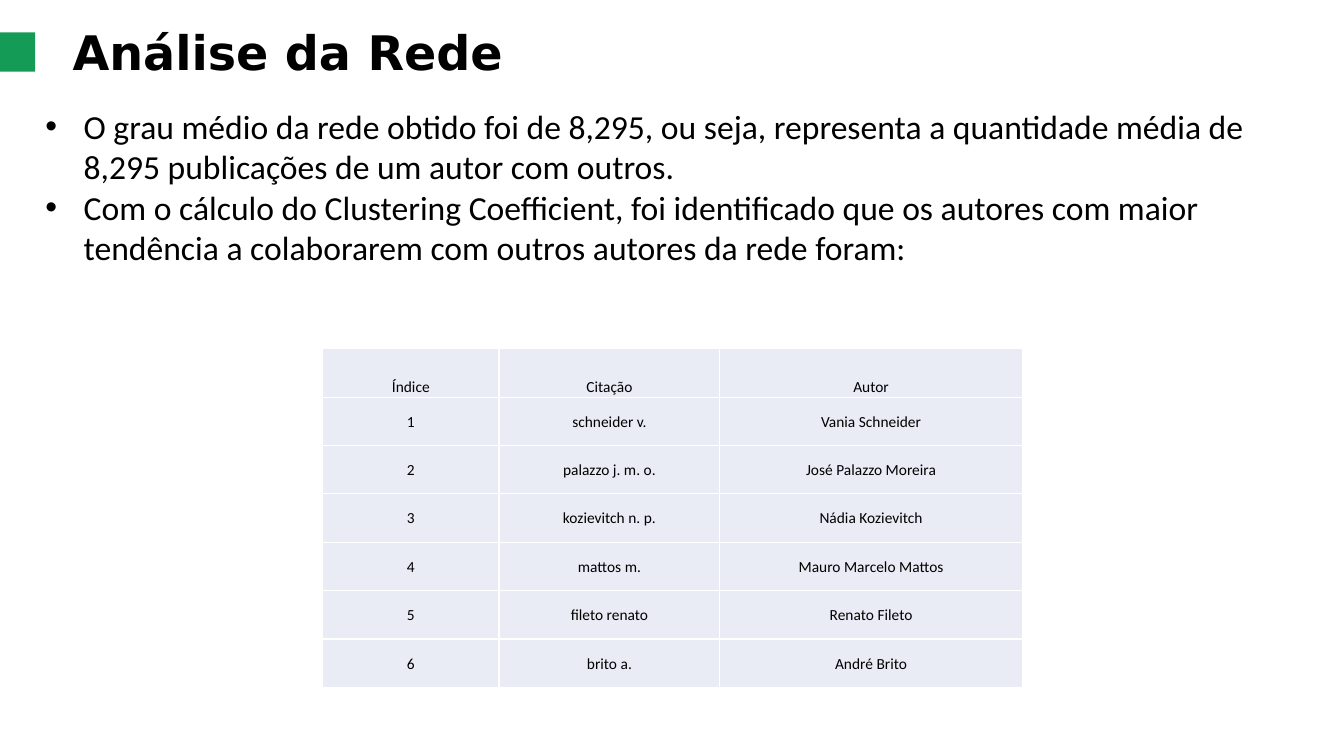
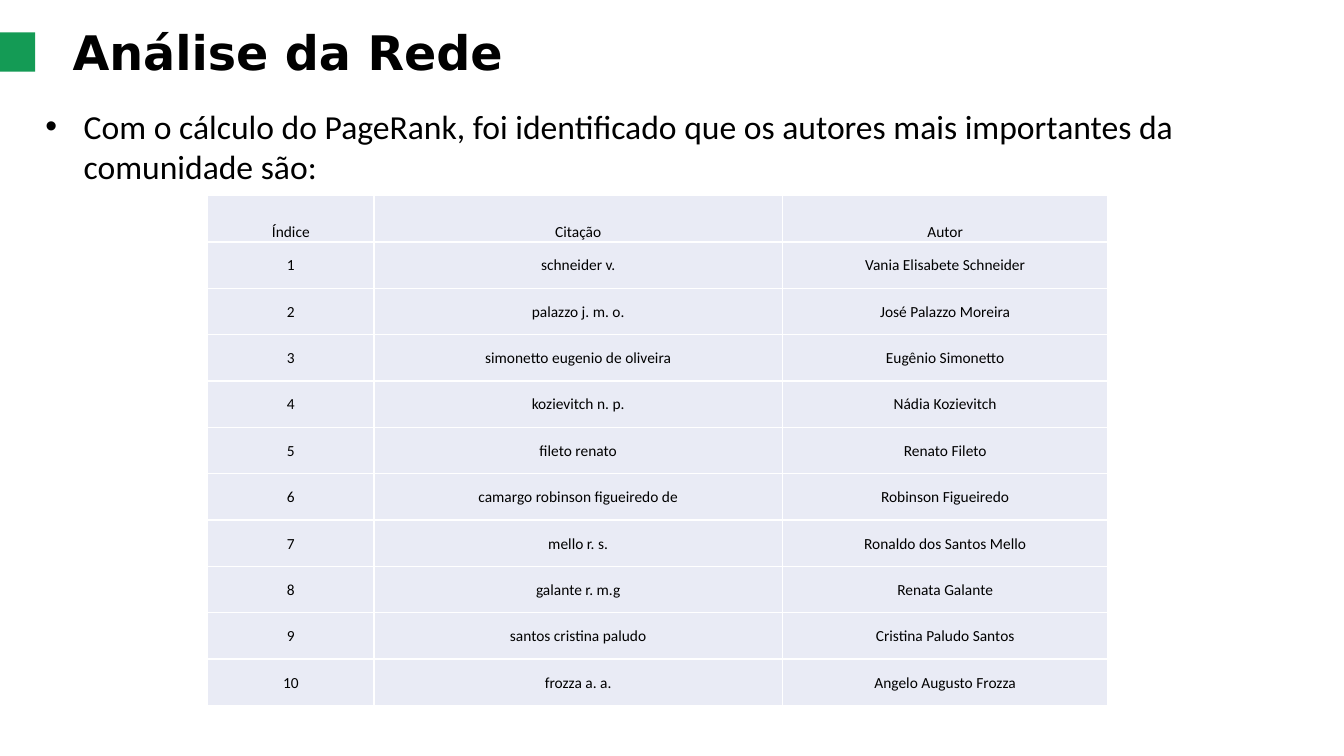
from dataclasses import dataclass

from lxml.etree import SubElement
from pptx import Presentation
from pptx.dml.color import RGBColor
from pptx.enum.shapes import MSO_SHAPE as Shape
from pptx.enum.text import MSO_ANCHOR as Anchor, MSO_AUTO_SIZE as AutoSize, PP_ALIGN as Align
from pptx.oxml.ns import qn
from pptx.util import Inches, Pt


@dataclass(frozen=True)
class Theme:
    black: RGBColor = RGBColor.from_string("000000")
    green: RGBColor = RGBColor.from_string("149B55")
    cell: RGBColor = RGBColor.from_string("E9EBF5")
    border: str = "FFFFFF"
    title_font: str = "DejaVu Sans"
    text_font: str = "Calibri"
    title_size: int = 34
    body_size: int = 24
    table_size: int = 11


@dataclass(frozen=True)
class Ranking:
    """Authors in rank order, with the place of their table in inches."""
    left: float
    top: float
    columns: tuple[float, ...]
    row_height: float
    authors: tuple[tuple[str, str], ...]


@dataclass(frozen=True)
class Page:
    bullets: tuple[str, ...]
    body_height: float
    ranking: Ranking


THEME = Theme()
TITLE = "Análise da Rede"
HEADINGS = ("Índice", "Citação", "Autor")
BULLET_INDENT = 0.38

PAGES = (
    Page(
        bullets=(
            "O grau médio da rede obtido foi de 8,295, ou seja, representa a quantidade "
            "média de 8,295 publicações de um autor com outros.",
            "Com o cálculo do Clustering Coefficient, foi identificado que os autores com "
            "maior tendência a colaborarem com outros autores da rede foram:",
        ),
        body_height=1.75,
        ranking=Ranking(3.2, 3.46, (1.75, 2.19, 3), 0.48, (
            ("schneider v.", "Vania Schneider"),
            ("palazzo j. m. o.", "José Palazzo Moreira"),
            ("kozievitch n. p.", "Nádia Kozievitch"),
            ("mattos m.", "Mauro Marcelo Mattos"),
            ("fileto renato", "Renato Fileto"),
            ("brito a.", "André Brito"),
        )),
    ),
    Page(
        bullets=(
            "Com o cálculo do PageRank, foi identificado que os autores mais importantes da "
            "comunidade são:",
        ),
        body_height=0.92,
        ranking=Ranking(2.06, 1.94, (1.65, 4.05, 3.23), 0.46, (
            ("schneider v.", "Vania Elisabete Schneider"),
            ("palazzo j. m. o.", "José Palazzo Moreira"),
            ("simonetto eugenio de oliveira", "Eugênio Simonetto"),
            ("kozievitch n. p.", "Nádia Kozievitch"),
            ("fileto renato", "Renato Fileto"),
            ("camargo robinson figueiredo de", "Robinson Figueiredo"),
            ("mello r. s.", "Ronaldo dos Santos Mello"),
            ("galante r. m.g", "Renata Galante"),
            ("santos cristina paludo", "Cristina Paludo Santos"),
            ("frozza a. a.", "Angelo Augusto Frozza"),
        )),
    ),
)


def write(para, text: str, *, size: int, font: str = THEME.text_font,
          bold: bool = False, align: Align = Align.LEFT) -> None:
    para.alignment = align
    para.line_spacing = 1.0
    para.space_before = para.space_after = Pt(0)
    span = para.add_run()
    span.text = text
    span.font.name = font
    span.font.size = Pt(size)
    span.font.bold = bold
    span.font.color.rgb = THEME.black


def place(box, left: float, top: float, width: float, height: float) -> None:
    """Move a placeholder and let its text start at the top, unscaled."""
    box.left, box.top = Inches(left), Inches(top)
    box.width, box.height = Inches(width), Inches(height)
    frame = box.text_frame
    frame.word_wrap = True
    frame.auto_size = AutoSize.NONE
    frame.vertical_anchor = Anchor.TOP


def add_heading(slide) -> None:
    """Fill the title and draw the green marker beside it."""
    box = slide.shapes.title
    place(box, 0.46, 0.18, 12.4, 0.67)
    box.text_frame.margin_left = Inches(0.26)
    write(box.text_frame.paragraphs[0], TITLE, size=THEME.title_size,
          font=THEME.title_font, bold=True)
    marker = slide.shapes.add_shape(Shape.RECTANGLE, 0, Inches(0.32), Inches(0.35), Inches(0.39))
    marker.shadow.inherit = False
    marker.fill.solid()
    marker.fill.fore_color.rgb = THEME.green
    marker.line.fill.background()


def add_bullets(slide, bullets: tuple[str, ...], height: float) -> None:
    box = slide.placeholders[1]
    place(box, 0.35, 1, 12.34, height)
    frame = box.text_frame
    for index, text in enumerate(bullets):
        para = frame.paragraphs[0] if index == 0 else frame.add_paragraph()
        properties = para._p.get_or_add_pPr()
        properties.set("marL", str(Inches(BULLET_INDENT)))
        properties.set("indent", str(-Inches(BULLET_INDENT)))
        SubElement(properties, qn("a:buFont"), typeface="Arial")
        SubElement(properties, qn("a:buChar"), char="•")
        write(para, text, size=THEME.body_size)


def add_borders(cell) -> None:
    properties = cell._tc.get_or_add_tcPr()
    for side in ("lnL", "lnR", "lnT", "lnB"):
        line = SubElement(properties, qn(f"a:{side}"), w=str(Pt(1)))
        fill = SubElement(line, qn("a:solidFill"))
        SubElement(fill, qn("a:srgbClr"), val=THEME.border)


def fill_cell(cell, text: str, anchor: Anchor) -> None:
    add_borders(cell)
    cell.fill.solid()
    cell.fill.fore_color.rgb = THEME.cell
    cell.margin_left = cell.margin_right = cell.margin_top = Inches(0.01)
    cell.margin_bottom = 0
    cell.vertical_anchor = anchor
    write(cell.text_frame.paragraphs[0], text, size=THEME.table_size, align=Align.CENTER)


def add_ranking(slide, ranking: Ranking) -> None:
    rows = [HEADINGS]
    rows += [(str(rank), *author) for rank, author in enumerate(ranking.authors, start=1)]
    table = slide.shapes.add_table(
        len(rows), len(HEADINGS), Inches(ranking.left), Inches(ranking.top),
        Inches(sum(ranking.columns)), Inches(ranking.row_height * len(rows)),
    ).table
    table.first_row = table.horz_banding = False
    for column, width in zip(table.columns, ranking.columns):
        column.width = Inches(width)
    for index, (row, texts) in enumerate(zip(table.rows, rows)):
        row.height = Inches(ranking.row_height)
        anchor = Anchor.BOTTOM if index == 0 else Anchor.MIDDLE
        for cell, text in zip(row.cells, texts):
            fill_cell(cell, text, anchor)


def main() -> None:
    deck = Presentation()
    deck.slide_width, deck.slide_height = Inches(13.33), Inches(7.5)
    for page in PAGES:
        slide = deck.slides.add_slide(deck.slide_layouts[1])
        add_heading(slide)
        add_bullets(slide, page.bullets, page.body_height)
        add_ranking(slide, page.ranking)
    deck.save("out.pptx")


if __name__ == "__main__":
    main()
